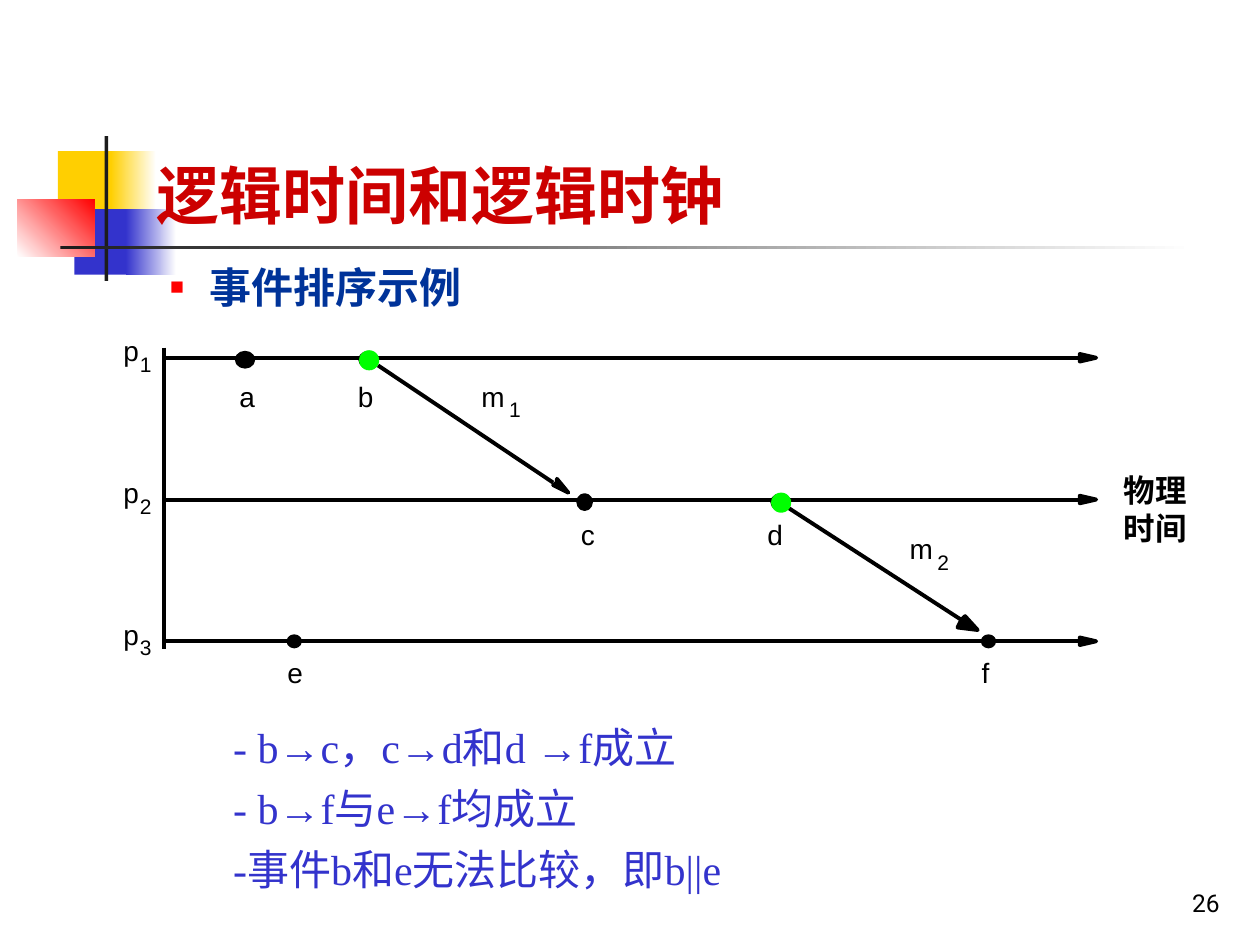
import pptx
import pptx.dml.color
import pptx.enum.dml
import pptx.enum.shapes
import pptx.enum.text
import pptx.oxml
import pptx.oxml.ns
import pptx.util
from lxml import etree

Inches, Pt = pptx.util.Inches, pptx.util.Pt
RGBColor = pptx.dml.color.RGBColor
Shape = pptx.enum.shapes.MSO_SHAPE
Anchor = pptx.enum.text.MSO_ANCHOR
Align = pptx.enum.text.PP_ALIGN
qn = pptx.oxml.ns.qn

BLACK = RGBColor(0x00, 0x00, 0x00)
WHITE = RGBColor(0xFF, 0xFF, 0xFF)
YELLOW = RGBColor(0xFF, 0xCF, 0x01)
BLUE = RGBColor(0x33, 0x33, 0xCC)
RED = RGBColor(0xFF, 0x00, 0x00)
CHARCOAL = RGBColor(0x1C, 0x1C, 0x1C)
GREEN = RGBColor(0x00, 0xFF, 0x00)
TITLE_RED = RGBColor(0xCC, 0x00, 0x00)
HEADING_BLUE = RGBColor(0x00, 0x33, 0x99)

CJK = "Noto Sans CJK JP"
STROKE = Pt(2.25)


class Painter:
    """Draws on one slide with the shared fonts, strokes and colours."""

    def __init__(self, slide):
        self.slide = slide
        self.shapes = slide.shapes

    def style(self, paragraph, size, color, font, bold=False):
        for run in paragraph.runs:
            run.font.size = Pt(size)
            run.font.bold = bold
            run.font.color.rgb = color
            run.font.name = "Arial" if run.text == "→" else font
            latin = run.font._element.find(qn("a:latin"))
            east_asian = etree.Element(qn("a:ea"), typeface=CJK)
            latin.addnext(east_asian)

    def place(self, placeholder, left, top, width, height):
        """Moves a placeholder and brings it in front of what is drawn so far."""
        placeholder.left, placeholder.top = Inches(left), Inches(top)
        placeholder.width, placeholder.height = Inches(width), Inches(height)
        placeholder.element.getparent().append(placeholder.element)
        frame = placeholder.text_frame
        frame.word_wrap = True
        frame.auto_size = pptx.enum.text.MSO_AUTO_SIZE.NONE
        return frame

    def bullet(self, paragraph, margin, indent, mark=None):
        props = paragraph._p.get_or_add_pPr()
        props.set("marL", str(Inches(margin)))
        props.set("indent", str(Inches(indent)))
        if mark is None:
            etree.SubElement(props, qn("a:buNone"))
            return
        color = etree.SubElement(props, qn("a:buClr"))
        etree.SubElement(color, qn("a:srgbClr"), val=str(RED))
        etree.SubElement(props, qn("a:buSzPct"), val="55000")
        etree.SubElement(props, qn("a:buFont"), typeface="Arial")
        etree.SubElement(props, qn("a:buChar"), char=mark)

    def block(self, left, top, width, height, color, fade_to=None, angle=0):
        block = self.shapes.add_shape(Shape.RECTANGLE, Inches(left), Inches(top),
                                      Inches(width), Inches(height))
        block.shadow.inherit = False
        block.line.fill.background()
        if fade_to is None:
            block.fill.solid()
            block.fill.fore_color.rgb = color
        else:
            block.fill.gradient()
            block.fill.gradient_angle = angle
            for stop, shade in zip(block.fill.gradient_stops, (color, fade_to)):
                stop.color.rgb = shade

    def dot(self, left, top, width, height, color, outlined=True):
        dot = self.shapes.add_shape(Shape.OVAL, Inches(left), Inches(top),
                                    Inches(width), Inches(height))
        self.ink(dot, color, outlined)

    def ink(self, shape, color, outlined=True):
        shape.shadow.inherit = False
        shape.fill.solid()
        shape.fill.fore_color.rgb = color
        if outlined:
            shape.line.color.rgb = color
            shape.line.width = STROKE
        else:
            shape.line.fill.background()

    def line(self, x1, y1, x2, y2):
        line = self.shapes.add_connector(pptx.enum.shapes.MSO_CONNECTOR.STRAIGHT,
                                         Inches(x1), Inches(y1), Inches(x2), Inches(y2))
        line.line.color.rgb = BLACK
        line.line.width = STROKE
        etree.SubElement(line._element.spPr, qn("a:effectLst"))

    def arrowhead(self, *points):
        corners = [(Inches(x), Inches(y)) for x, y in points]
        outline = self.shapes.build_freeform(*corners[0])
        outline.add_line_segments(corners[1:], close=True)
        self.ink(outline.convert_to_shape(), BLACK)

    def label(self, text, left, top, width, height, size=16, font="Arial", bold=False):
        box = self.shapes.add_textbox(Inches(left), Inches(top), Inches(width), Inches(height))
        frame = box.text_frame
        frame.word_wrap = False
        frame.margin_left = frame.margin_right = frame.margin_top = frame.margin_bottom = 0
        frame.text = text
        for paragraph in frame.paragraphs:
            self.style(paragraph, size, BLACK, font, bold)
        return frame

    def indexed_label(self, letter, index, left, top, width, offset):
        self.label(letter, left, top, width, 0.27)
        self.label(index, left + offset, top + 0.14, 0.09, 0.2, size=12)


def draw_decoration(painter):
    painter.block(0.46, 1.2, 0.48, 0.52, YELLOW)
    painter.block(0.88, 1.2, 0.36, 0.52, YELLOW, WHITE)
    painter.block(0.59, 1.66, 0.46, 0.52, BLUE)
    painter.block(1, 1.66, 0.4, 0.52, BLUE, WHITE)
    painter.block(0.14, 1.58, 0.61, 0.46, WHITE, RED, angle=45)
    painter.block(0.83, 1.08, 0.03, 1.15, CHARCOAL)
    painter.block(0.48, 1.95, 9, 0.03, CHARCOAL, WHITE)


def write_texts(painter):
    title = painter.place(painter.shapes.title, 1.14, 0.91, 7.4, 0.98)
    title.text = "逻辑时间和逻辑时钟"
    title.vertical_anchor = Anchor.BOTTOM
    title.paragraphs[0].alignment = Align.LEFT
    painter.style(title.paragraphs[0], 36, TITLE_RED, CJK, bold=True)

    body = painter.place(painter.slide.placeholders[1], 0.75, 2.1, 8.98, 5.2)
    heading = body.paragraphs[0]
    heading.text = "事件排序示例"
    heading.line_spacing = 0.8
    heading.space_before = Pt(0)
    painter.bullet(heading, 0.81, -0.31, "■")
    painter.style(heading, 24, HEADING_BLUE, "Times New Roman", bold=True)

    conclusions = [
        ["- b", "→", "c，c", "→", "d和d ", "→", "f成立"],
        ["- b", "→", "f与e", "→", "f均成立"],
        ["-事件b和e无法比较，即b||e"],
    ]
    diagram_gap = Pt(234)
    for number, pieces in enumerate(conclusions):
        conclusion = body.add_paragraph()
        conclusion.line_spacing = Pt(29)
        conclusion.space_before = Pt(6) if number else diagram_gap
        painter.bullet(conclusion, 1, 0)
        for piece in pieces:
            conclusion.add_run().text = piece
        painter.style(conclusion, 24, BLUE, "Times New Roman")


def draw_timelines(painter):
    axis, head, tip = 1.3, 8.57, 8.7
    for index in range(3):
        y = 2.84 + 1.125 * index
        painter.arrowhead((head, y - 0.03), (tip, y), (head, y + 0.03))
        painter.line(axis, y, head, y)
        painter.indexed_label("p", str(index + 1), 0.98, y - 0.19, 0.12, 0.13)
    painter.line(axis, 2.76, axis, 5.15)

    events = [  # name, name position, dot box
        ("a", 1.9, 3.01, (1.88, 2.8, 0.13, 0.11)),
        ("b", 2.84, 3.01, (2.86, 2.8, 0.13, 0.11)),
        ("c", 4.61, 4.11, (4.59, 3.93, 0.1, 0.11)),
        ("d", 6.09, 4.11, (6.13, 3.93, 0.13, 0.11)),
        ("e", 2.28, 5.2, (2.29, 5.05, 0.09, 0.08)),
        ("f", 7.79, 5.2, (7.8, 5.05, 0.09, 0.08)),
    ]
    for name, left, top, dot in events:
        painter.dot(*dot, BLACK)
        painter.label(name, left, top, 0.12, 0.27)

    painter.arrowhead((4.42, 3.83), (4.42, 3.8), (4.51, 3.91), (4.39, 3.85))
    painter.line(3, 2.9, 4.39, 3.83)
    painter.arrowhead((7.63, 4.92), (7.66, 4.89), (7.76, 5), (7.6, 4.98))
    painter.line(6.24, 4.02, 7.63, 4.92)
    painter.indexed_label("m", "1", 3.82, 3.01, 0.19, 0.22)
    painter.indexed_label("m", "2", 7.22, 4.22, 0.19, 0.22)
    painter.label("物理\n时间", 8.92, 3.74, 0.5, 0.6, size=18, font="Roboto", bold=True)

    for left, top in ((2.85, 2.78), (6.12, 3.91)):
        painter.dot(left, top, 0.16, 0.16, GREEN, outlined=False)


def main():
    deck = pptx.Presentation()
    deck.slide_width, deck.slide_height = Inches(10), Inches(7.5)
    painter = Painter(deck.slides.add_slide(deck.slide_layouts[1]))
    draw_decoration(painter)
    page = painter.label("26", 7.8, 6.88, 1.88, 0.4, size=14, font="Roboto")
    page.vertical_anchor = Anchor.BOTTOM
    page.word_wrap = True
    page.paragraphs[0].alignment = Align.RIGHT
    write_texts(painter)
    draw_timelines(painter)
    deck.save("out.pptx")


if __name__ == "__main__":
    main()
